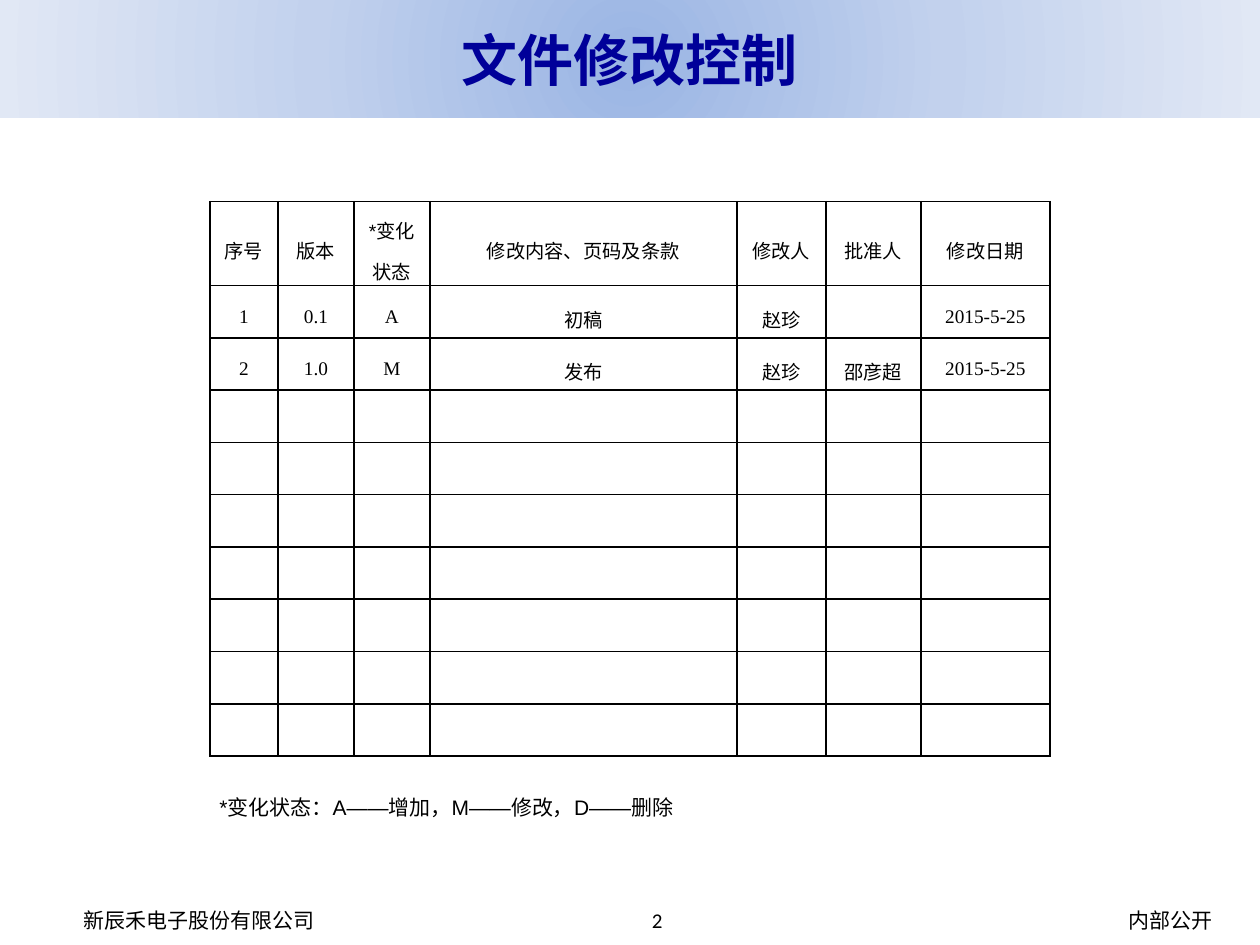
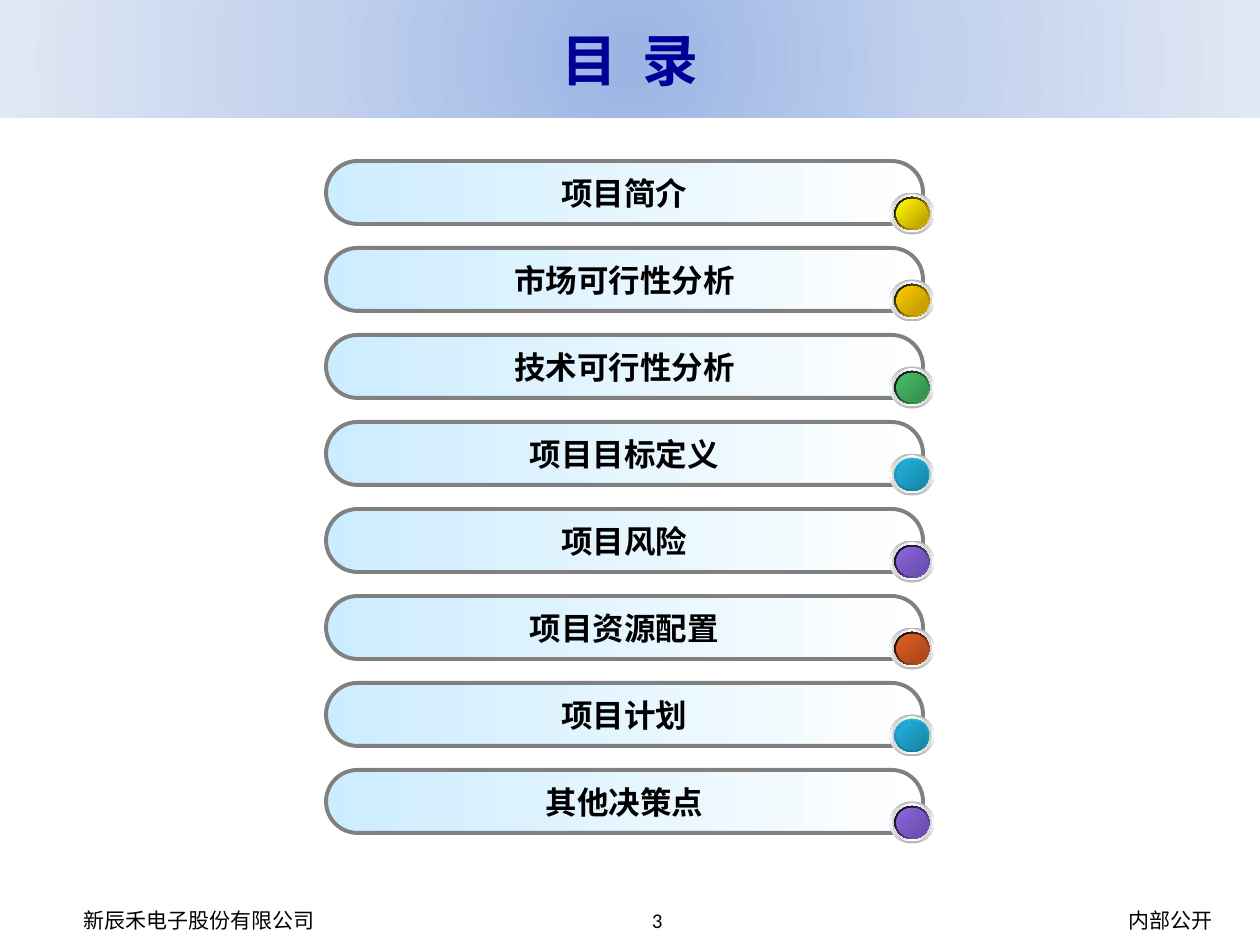
from lxml import etree
from pptx import Presentation
from pptx.dml.color import RGBColor
from pptx.enum.shapes import MSO_SHAPE as Shape
from pptx.enum.text import MSO_ANCHOR as Anchor, MSO_AUTO_SIZE as Auto, PP_ALIGN as Align
from pptx.oxml import parse_xml
from pptx.oxml.ns import qn
from pptx.util import Pt

# Content
FIRM, LEVEL = "新辰禾电子股份有限公司", "内部公开"
HEAD = ["序号", "版本", "*变化状态", "修改内容、页码及条款", "修改人", "批准人", "修改日期"]
LOG = [
    ["1", "0.1", "A", "初稿", "赵珍", "", "2015-5-25"],
    ["2", "1.0", "M", "发布", "赵珍", "邵彦超", "2015-5-25"],
]
SPARE = 7  # empty rows below the log
NOTE = "*变化状态：A——增加，M——修改，D——删除"

# Ball colours: (rim start, rim end, rim angle), (face start, face end)
YELLOW = ("000000", "FFCC00", 45), ("FFFF00", "BA9500")
AMBER = ("000000", "FFCC00", 45), ("FFCC00", "BA9500")
GREEN = ("000000", "48BE67", 45), ("48BE67", "358B4B")
BLUE = ("21B3E1", "1880A1", 90), ("21B3E1", "1883A4")
VIOLET = ("000000", "8D67E1", 45), ("8D67E1", "674BA4")
ORANGE = ("000000", "E35E23", 45), ("E35E23", "A6451A")
TOPICS = [
    ("项目简介", YELLOW), ("市场可行性分析", AMBER), ("技术可行性分析", GREEN),
    ("项目目标定义", BLUE), ("项目风险", VIOLET), ("项目资源配置", ORANGE),
    ("项目计划", BLUE), ("其他决策点", VIOLET),
]

# Shared style
BLACK, NAVY, PLUM, GREY = "000000", "000099", "5E457C", "808080"
BAND = ["9AB5E4", "C2D1ED", "E1E8F5"]
HAN = "Noto Sans CJK SC"
SCALE = 914400 / 126
NS = 'xmlns:a="http://schemas.openxmlformats.org/drawingml/2006/main"'


def px(n):
    return round(n * SCALE)


def box(*dims):
    return [px(n) for n in dims]


def rgb(code):
    return RGBColor.from_string(code)


def edge(tag, code, width):
    return parse_xml(f'<a:{tag} {NS} w="{width}"><a:solidFill><a:srgbClr val="{code}"/>'
                     f'</a:solidFill></a:{tag}>')


def add_run(para, text, size, font, color=BLACK, bold=False):
    run = para.add_run()
    run.text = text
    face = run.font
    face.size, face.name, face.bold = Pt(size), font, bold
    face.color.rgb = rgb(color)
    latin = face._element.find(qn("a:latin"))
    latin.addnext(etree.Element(qn("a:ea"), typeface=HAN))
    return run


def shade(shape, codes, angle=None):
    """Fill with even gradient stops: linear, or round when no angle is given."""
    last = len(codes) - 1
    stops = "".join(f'<a:gs pos="{100000 * i // last}"><a:srgbClr val="{c}"/></a:gs>'
                    for i, c in enumerate(codes))
    if angle is None:
        way = ('<a:path path="circle"><a:fillToRect l="50000" t="50000" '
               'r="50000" b="50000"/></a:path>')
    else:
        way = f'<a:lin ang="{angle * 60000}" scaled="0"/>'
    grad = parse_xml(f'<a:gradFill {NS} rotWithShape="1"><a:gsLst>{stops}</a:gsLst>{way}</a:gradFill>')
    shape._element.spPr.find(qn("a:prstGeom")).addnext(grad)


def add_form(home, kind, dims, codes, angle=None):
    form = home.shapes.add_shape(kind, *box(*dims))
    form.shadow.inherit = False
    shade(form, codes, angle)
    form.line.fill.background()
    return form


def add_label(slide, dims, text, align, font="Calibri", anchor=Anchor.MIDDLE):
    frame = slide.shapes.add_textbox(*box(*dims)).text_frame
    frame.word_wrap, frame.vertical_anchor = True, anchor
    para = frame.paragraphs[0]
    para.alignment = align
    add_run(para, text, 12, font)
    return frame


def add_page(deck, title, number, gap=0):
    """Blank slide with footer and title band; gap widens the title's spaces."""
    slide = deck.slides.add_slide(deck.slide_layouts[6])
    add_label(slide, (34, 895, 330, 50), FIRM, Align.CENTER)
    add_label(slide, (1082, 895, 178, 50), LEVEL, Align.CENTER)
    add_label(slide, (620, 895, 55, 50), str(number), Align.RIGHT)
    band = add_form(slide, Shape.RECTANGLE, (0, 0, 1260, 118), BAND)
    band.text_frame.vertical_anchor = Anchor.MIDDLE
    para = band.text_frame.paragraphs[0]
    para.alignment = Align.CENTER
    for part in title:
        run = add_run(para, part, 32, HAN, NAVY, True)
        props = run.font._element
        props.insert(0, edge("ln", PLUM, 9000))
        if part == " ":
            props.set("spc", str(gap))
    return slide


def fill_cell(cell, text, font):
    cell.fill.background()
    cell.vertical_anchor = Anchor.MIDDLE
    cell.margin_left = cell.margin_right = px(9)
    cell.margin_top = cell.margin_bottom = 0
    props = cell._tc.get_or_add_tcPr()
    for i, side in enumerate(("lnL", "lnR", "lnT", "lnB")):
        props.insert(i, edge(side, BLACK, 12700))
    if text:
        para = cell.text_frame.paragraphs[0]
        para.alignment, para.line_spacing = Align.CENTER, 1.5
        add_run(para, text, 11, font)


def add_log(slide):
    cols = [68, 76, 76, 307, 89, 95, 129]
    rows = [HEAD] + LOG + [[""] * len(cols)] * SPARE
    highs = [84] + [52.3] * (len(rows) - 1)  # the head holds two lines
    grid = slide.shapes.add_table(len(rows), len(cols),
                                  *box(210, 201.5, sum(cols), sum(highs))).table
    grid.first_row = grid.horz_banding = False
    for col, wide in zip(grid.columns, cols):
        col.width = px(wide)
    for r, (row, high) in enumerate(zip(rows, highs)):
        grid.rows[r].height = px(high)
        for c, text in enumerate(row):
            fill_cell(grid.cell(r, c), text, "Times New Roman" if r else "Arial")


def add_topic(slide, top, text, rim, face):
    group = slide.shapes.add_group_shape()
    pill = add_form(group, Shape.ROUNDED_RECTANGLE, (326, top, 597, 63), ["CCECFF", "FFFFFF"], 0)
    pill.adjustments[0] = 0.5
    pill.line.color.rgb, pill.line.width = rgb(GREY), Pt(2.25)
    frame = pill.text_frame
    frame.word_wrap, frame.vertical_anchor = False, Anchor.MIDDLE
    para = frame.paragraphs[0]
    para.alignment = Align.CENTER
    add_run(para, text, 18, "Arial", bold=True)

    # Ball: ovals stacked from the outer ring to the face
    rings = [
        (45, 42, ["B6B6B6", "FFFFFF", "B6B6B6"], 90),
        (40, 38, ["D1D1D1", "FFFFFF", "D1D1D1"], 0),
        (35, 33, ["FFFFFF", "009999", "FFFFFF"], 45),
        (35, 33, rim[:2], rim[2]),
        (31, 29, ["007575", "009999", "007575"], 315),
        (31, 29, face, 45),
    ]
    for wide, high, codes, angle in rings:
        spot = (912 - wide / 2, top + 52.5 - high / 2, wide, high)
        add_form(group, Shape.OVAL, spot, codes, angle)


deck = Presentation()
deck.slide_width, deck.slide_height = box(1260, 945)

# Change log
page = add_page(deck, ["文件修改控制"], 2)
add_log(page)
note = add_label(page, (207, 788, 847, 38), NOTE, Align.LEFT, "Arial", Anchor.TOP)
note.auto_size = Auto.SHAPE_TO_FIT_TEXT

# Contents
page = add_page(deck, ["目", " ", "录"], 3, gap=700)
for i, (text, (rim, face)) in enumerate(TOPICS):
    add_topic(page, 161 + 87 * i, text, rim, face)

deck.save("out.pptx")
